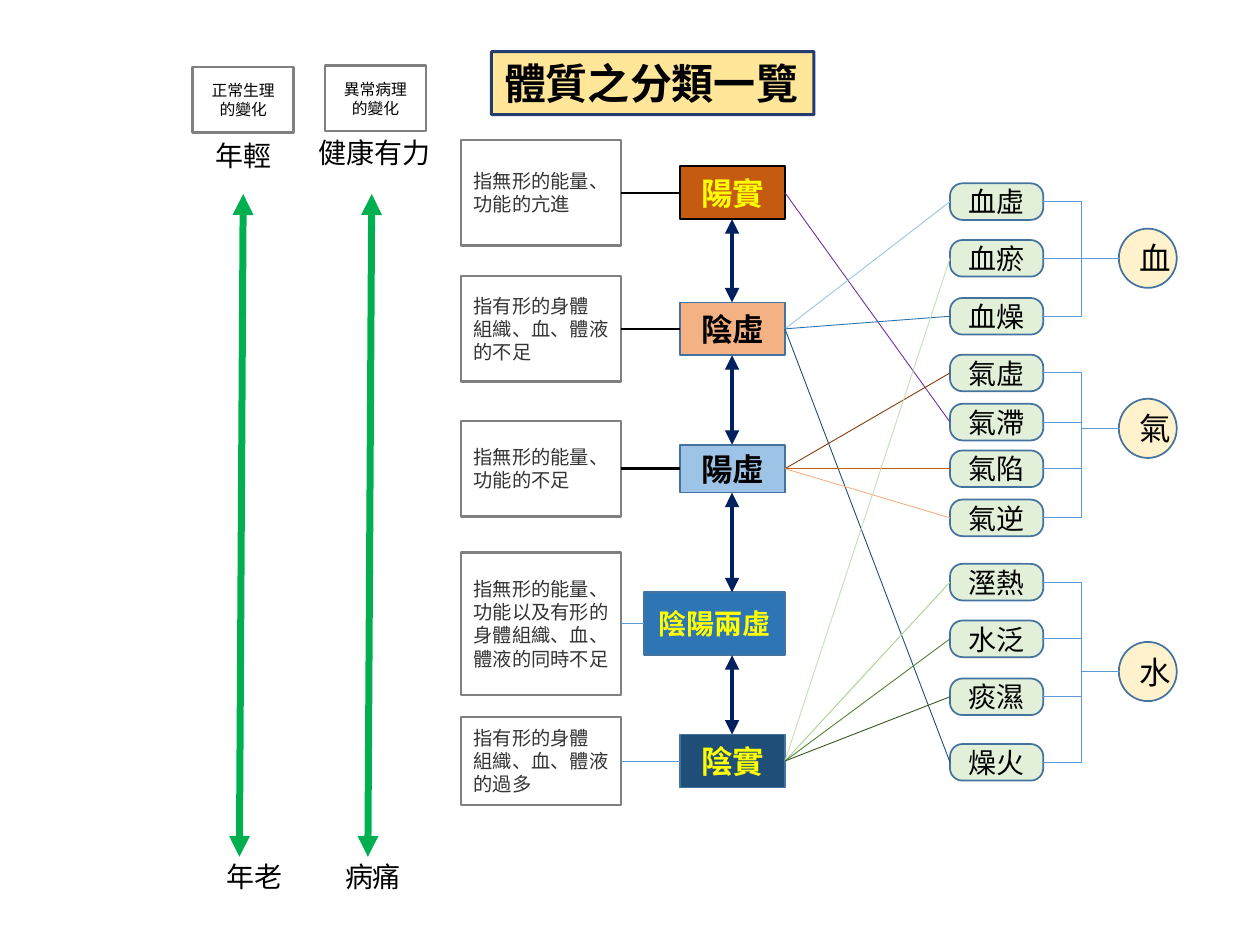
from lxml.etree import SubElement
from pptx import Presentation
from pptx.dml.color import RGBColor
from pptx.enum.shapes import MSO_CONNECTOR, MSO_SHAPE
from pptx.enum.text import MSO_ANCHOR, MSO_AUTO_SIZE, PP_ALIGN
from pptx.oxml.ns import qn
from pptx.util import Inches, Pt

BLACK = RGBColor(0x00, 0x00, 0x00)
WHITE = RGBColor(0xFF, 0xFF, 0xFF)
YELLOW = RGBColor(0xFF, 0xFF, 0x00)
GRAY = RGBColor(0x80, 0x80, 0x80)
DARK_GRAY = RGBColor(0x34, 0x34, 0x34)
GREEN = RGBColor(0x00, 0xB0, 0x50)
NAVY = RGBColor(0x00, 0x20, 0x60)
EDGE_BLUE = RGBColor(0x43, 0x73, 0x9E)
THIN_BLUE = RGBColor(0x5B, 0x9B, 0xD5)
GOLD = RGBColor(0xFF, 0xE6, 0x99)
CREAM = RGBColor(0xFF, 0xF2, 0xCC)
MINT = RGBColor(0xE2, 0xF0, 0xD9)
RUST = RGBColor(0xC5, 0x5A, 0x11)
BROWN = RGBColor(0x84, 0x3C, 0x0B)
PEACH = RGBColor(0xF4, 0xB1, 0x83)
SKY = RGBColor(0x9D, 0xC3, 0xE6)
BLUE = RGBColor(0x2E, 0x75, 0xB6)
DEEP_BLUE = RGBColor(0x1F, 0x4E, 0x79)
PURPLE = RGBColor(0x70, 0x30, 0xA0)
PALE_GREEN = RGBColor(0xC5, 0xE0, 0xB4)
LIGHT_GREEN = RGBColor(0xA9, 0xD1, 0x8E)
MOSS = RGBColor(0x54, 0x82, 0x35)
FOREST = RGBColor(0x38, 0x57, 0x23)

# Columns, in inches
NOTE_X, NOTE_W = 3.66, 1.27
TYPE_RIGHT, TYPE_MID = 6.23, 5.81
PILL_X, PILL_W, PILL_H = 7.54, 0.74, 0.29
CIRCLE_X, CIRCLE_W, CIRCLE_H = 8.88, 0.46, 0.47

# Type, middle, width, height, size, fill, text colour, edge;
# note, its height, link colour, link width
TYPES = [
    ("陽實", 1.53, 0.83, 0.42, 18, RUST, YELLOW, BLACK,
     "指無形的能量、\n功能的亢進", 0.84, BLACK, 1.45),
    ("陰虛", 2.61, 0.83, 0.42, 18, PEACH, BLACK, EDGE_BLUE,
     "指有形的身體\n組織、血、體液\n的不足", 0.84, BLACK, 1.45),
    ("陽虛", 3.72, 0.83, 0.38, 18, SKY, BLACK, EDGE_BLUE,
     "指無形的能量、\n功能的不足", 0.76, BLACK, 1.45),
    ("陰陽兩虛", 4.95, 1.12, 0.5, 16, BLUE, YELLOW, EDGE_BLUE,
     "指無形的能量、\n功能以及有形的\n身體組織、血、\n體液的同時不足", 1.13, THIN_BLUE, 0.5),
    ("陰實", 6.04, 0.83, 0.42, 18, DEEP_BLUE, YELLOW, EDGE_BLUE,
     "指有形的身體\n組織、血、體液\n的過多", 0.7, THIN_BLUE, 0.5),
]

# Circle, its middle, and the middles of its pills
GROUPS = [
    ("血", 2.05, {"血虛": 1.6, "血瘀": 2.05, "血燥": 2.51}),
    ("氣", 3.4, {"氣虛": 2.96, "氣滯": 3.35, "氣陷": 3.72, "氣逆": 4.11}),
    ("水", 5.33, {"溼熱": 4.62, "水泛": 5.07, "痰濕": 5.53, "燥火": 6.05}),
]

RAYS = {
    "陽實": [("氣滯", PURPLE)],
    "陰虛": [("血虛", SKY), ("血燥", BLUE), ("燥火", DEEP_BLUE)],
    "陽虛": [("氣虛", BROWN), ("氣陷", RUST), ("氣逆", PEACH)],
    "陰實": [("血瘀", PALE_GREEN), ("溼熱", LIGHT_GREEN),
           ("水泛", MOSS), ("痰濕", FOREST)],
}

# Scale: x of the frame, y of the frame, heading, arrow x at top,
# then (text, x, y, width) of the upper and lower labels
SCALES = [
    (1.53, 0.53, "正常生理\n的變化", 1.93,
     [("年輕", 1.61, 1.05, 0.65), ("年老", 1.7, 6.77, 0.65)]),
    (2.58, 0.52, "異常病理\n的變化", 2.95,
     [("健康有力", 2.43, 1.03, 1.1), ("病痛", 2.64, 6.77, 0.65)]),
]


def write(tf, text, size, color, font="Calibri", bold=False,
          align=PP_ALIGN.CENTER, wrap=True):
    tf.text = text
    tf.word_wrap = wrap
    for p in tf.paragraphs:
        p.alignment = align
        p.font.name, p.font.size, p.font.bold = font, Pt(size), bold
        p.font.color.rgb = color


def paint(sp, fill, edge, width):
    sp.fill.solid()
    sp.fill.fore_color.rgb = fill
    sp.line.color.rgb = edge
    sp.line.width = Pt(width)


def add_box(s, kind, x, mid, w, h, fill, edge=EDGE_BLUE, width=1):
    """Add a shape whose vertical middle is at mid."""
    sp = s.shapes.add_shape(kind, Inches(x), Inches(mid - h / 2),
                            Inches(w), Inches(h))
    sp.shadow.inherit = False
    paint(sp, fill, edge, width)
    sp.text_frame.vertical_anchor = MSO_ANCHOR.MIDDLE
    return sp


def add_line(s, x1, y1, x2, y2, color, width, arrows=False,
             kind=MSO_CONNECTOR.STRAIGHT):
    c = s.shapes.add_connector(kind, Inches(x1), Inches(y1),
                               Inches(x2), Inches(y2))
    c.line.color.rgb = color
    c.line.width = Pt(width)
    if arrows:
        for end in ("a:headEnd", "a:tailEnd"):
            SubElement(c.line._get_or_add_ln(), qn(end), type="triangle")
    SubElement(c._element.spPr, qn("a:effectLst"))


def add_title(s):
    sp = s.shapes.title
    sp.left, sp.top, sp.width, sp.height = map(Inches, (3.9, 0.41, 2.56, 0.5))
    paint(sp, GOLD, NAVY, 1.75)
    SubElement(sp.line._get_or_add_ln().find(".//" + qn("a:srgbClr")),
               qn("a:alpha"), val="85000")
    tf = sp.text_frame
    tf.auto_size = MSO_AUTO_SIZE.NONE
    tf.vertical_anchor = MSO_ANCHOR.MIDDLE
    write(tf, "體質之分類一覽", 24, BLACK, "Noto Sans CJK SC", True,
          PP_ALIGN.LEFT, False)


def add_scale(s, x, y, heading, arrow_x, labels):
    sp = add_box(s, MSO_SHAPE.RECTANGLE, x, y + 0.26, 0.8, 0.52,
                 WHITE, GRAY, 1.45)
    write(sp.text_frame, heading, 9, BLACK, "Arial", wrap=False)
    for text, left, top, w in labels:
        tb = s.shapes.add_textbox(Inches(left), Inches(top),
                                  Inches(w), Inches(0.48))
        write(tb.text_frame, text, 16, BLACK, "Arial",
              align=PP_ALIGN.LEFT, wrap=False)
    add_line(s, arrow_x, 1.54, arrow_x - 0.03, 6.8, GREEN, 4, arrows=True)


def add_type(s, name, mid, w, h, size, fill, color, edge,
             note, note_h, link, link_w):
    x = TYPE_RIGHT - w
    sp = add_box(s, MSO_SHAPE.RECTANGLE, x, mid, w, h, fill, edge)
    write(sp.text_frame, name, size, color, bold=True)
    sp = add_box(s, MSO_SHAPE.RECTANGLE, NOTE_X, mid, NOTE_W, note_h,
                 WHITE, GRAY, 1.45)
    write(sp.text_frame, note, 11, DARK_GRAY, "Roboto",
          align=PP_ALIGN.LEFT, wrap=False)
    add_line(s, NOTE_X + NOTE_W, mid, x, mid, link, link_w)


def add_group(s, name, mid, pills):
    sp = add_box(s, MSO_SHAPE.OVAL, CIRCLE_X, mid, CIRCLE_W, CIRCLE_H, CREAM)
    write(sp.text_frame, name, 18, BLACK)
    for text, y in pills.items():
        sp = add_box(s, MSO_SHAPE.ROUNDED_RECTANGLE, PILL_X, y,
                     PILL_W, PILL_H, MINT)
        sp.adjustments[0] = 0.34
        write(sp.text_frame, text, 16, BLACK)
        add_line(s, PILL_X + PILL_W, y, CIRCLE_X, mid, THIN_BLUE, 0.5,
                 kind=MSO_CONNECTOR.ELBOW)


def main():
    prs = Presentation()
    prs.slide_width, prs.slide_height = Inches(10), Inches(7.5)
    s = prs.slides.add_slide(prs.slide_layouts[5])
    add_title(s)

    # Age and health scales
    for scale in SCALES:
        add_scale(s, *scale)

    # Constitution types, with arrows between neighbours
    for row in TYPES:
        add_type(s, *row)
    for upper, lower in zip(TYPES, TYPES[1:]):
        add_line(s, TYPE_MID, upper[1] + upper[3] / 2,
                 TYPE_MID, lower[1] - lower[3] / 2, NAVY, 2.75, arrows=True)

    # Blood, qi and water groups
    for group in GROUPS:
        add_group(s, *group)

    # Rays from types to pills
    type_y = {row[0]: row[1] for row in TYPES}
    pill_y = {k: y for _, _, pills in GROUPS for k, y in pills.items()}
    for name, rays in RAYS.items():
        for pill, color in rays:
            add_line(s, TYPE_RIGHT, type_y[name], PILL_X, pill_y[pill],
                     color, 0.5)

    prs.save("out.pptx")


if __name__ == "__main__":
    main()
